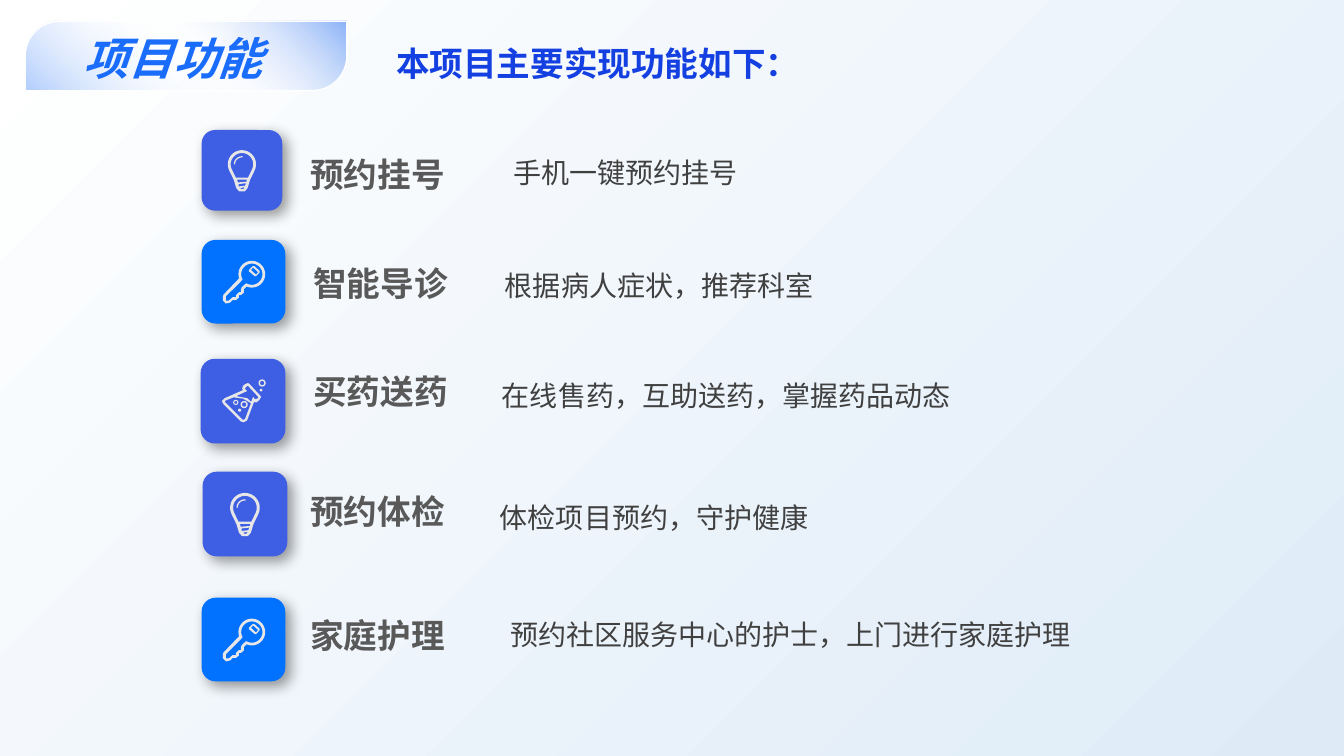
import math

import pptx
import pptx.dml.color
import pptx.enum.shapes
import pptx.enum.text
import pptx.oxml
import pptx.oxml.ns
import pptx.util

COLORS = {
    "tile": "3E5EE3", "key": "0171FF", "icon": "E7E6E6", "white": "FFFFFF",
    "sky": "DEEBF7", "deep": "045AF0", "blue": "1A6CFB", "lead": "1440E2",
    "head": "595959", "body": "404040", "black": "000000",
}
FONT = "Noto Sans CJK SC"
CELL = 0.1  # inches per column and per row
SPACE = 'xmlns:a="http://schemas.openxmlformats.org/drawingml/2006/main"'
SHAPE = pptx.enum.shapes.MSO_SHAPE
ALIGN = pptx.enum.text.PP_ALIGN
ANCHOR = pptx.enum.text.MSO_ANCHOR


def arc(x, y, r, start=0, end=360):
    """Points along a circle, in degrees clockwise from the right."""
    count = max(8, round((end - start) / 10))
    turns = [math.radians(start + (end - start) * i / count) for i in range(count + 1)]
    return [(x + r * math.cos(t), y + r * math.sin(t)) for t in turns]


def ring(x, y, outer, inner):
    return [arc(x, y, outer), arc(x, y, inner)]


# Icon outlines, in hundredths of a tile; inner contours cut holes.
BULB = [
    arc(50, 42.5, 17.5, 155, 385) + [(60, 62), (57, 72), (53.5, 76), (46.5, 76), (43, 72), (40, 62)],
    arc(50, 42.5, 14, 155, 385) + [(60, 54), (57.5, 59), (42.5, 59), (40, 54)],
    [(45, 65), (44, 61.5), (56, 61.5), (56, 64)],
    [(46, 67), (55, 66), (54, 69), (46, 70)],
    [(47.5, 72), (53.5, 71), (52, 73), (50, 73.5)],
    arc(50, 42.5, 10, 180, 275) + arc(50, 42.5, 8.5, 275, 180),
]
KEY = [
    arc(60, 41, 16, 162, 473) + [
        (50.5, 59), (50.5, 63), (47, 66), (44.5, 66), (44.5, 69), (41, 72),
        (37, 72), (34, 75), (29, 76), (25.5, 72.5), (25.5, 67), (26.5, 65)],
    arc(60, 41, 12.7, 151, 479) + [
        (53, 52), (48, 56.5), (47, 59), (47, 62.5), (44.5, 62.5), (41, 66),
        (41, 68.5), (37, 68.5), (32.5, 72.5), (29, 72.5), (29, 67.5), (47, 49.5)],
    [(56.5, 36), (61, 31.3), (63, 31.3), (69.3, 37), (69.3, 39), (65, 43.4), (63.5, 43.4), (56.5, 37.5)],
    [(59, 36), (61.5, 33), (67.5, 38.5), (65, 41.5)],
]
FLASK = [
    [(58, 30), (56, 28.5), (52.5, 30), (50, 32), (49, 35), (50, 37), (28.5, 46.5), (25, 50), (27, 53.5),
     (47.5, 74), (51, 75), (55, 72.5), (63, 51), (65.5, 51.5), (68, 50), (70, 47.5), (71.5, 45), (70, 43)],
    [(68, 46.5), (65.5, 47.5), (64, 47.5), (62, 45), (59.5, 51), (55, 46.5), (46.5, 45),
     (42, 44), (55, 38), (52.5, 35.5), (52.5, 34.5), (55, 32), (56, 32), (68, 45)],
    [(52.5, 71), (51, 72), (49, 71.5), (28.5, 51), (28.5, 50), (30, 49), (39, 45.5), (50, 47), (59.5, 52.5)],
    *ring(51.4, 54, 4.2, 2.5), *ring(72.6, 28.6, 4.2, 2.5), *ring(41.5, 51.5, 3, 1.8),
    arc(46, 60.7, 1.8), arc(71.4, 37, 1.6),
]


class Deck:
    def __init__(self):
        self.file = pptx.Presentation()
        self.file.slide_width = pptx.util.Inches(13.33)
        self.file.slide_height = pptx.util.Inches(7.5)
        self.slide = self.file.slides.add_slide(self.file.slide_layouts[6])
        self.shapes = self.slide.shapes

    def grid(self, *cells):
        return [pptx.util.Inches(c * CELL) for c in cells]

    def color(self, name):
        return pptx.dml.color.RGBColor.from_string(COLORS[name])

    def fade(self, fill, root, angle, *stops):
        """Fill with a linear gradient of (position, color, opacity) stops."""
        fill.gradient()
        old = next(root.iter(pptx.oxml.ns.qn("a:gradFill")))
        marks = "".join(
            f'<a:gs pos="{at * 1000}"><a:srgbClr val="{COLORS[name]}">'
            f'<a:alpha val="{alpha * 1000}"/></a:srgbClr></a:gs>'
            for at, name, alpha in stops)
        old.getparent().replace(old, pptx.oxml.parse_xml(
            f'<a:gradFill {SPACE} rotWithShape="1"><a:gsLst>{marks}</a:gsLst>'
            f'<a:lin ang="{angle * 60000}" scaled="0"/></a:gradFill>'))

    def back(self, angle, *stops):
        self.fade(self.slide.background.fill, self.slide.element, angle, *stops)

    def banner(self, box, angle, *stops):
        shape = self.shapes.add_shape(SHAPE.ROUND_2_DIAG_RECTANGLE, *self.grid(*box))
        shape.shadow.inherit = False
        shape.adjustments[0], shape.adjustments[1] = 0.5, 0
        self.fade(shape.fill, shape.element.spPr, angle, *stops)
        shape.line.color.rgb = self.color("white")
        shape.line.width = pptx.util.Pt(1)

    def tile(self, x, y, size, fill):
        shape = self.shapes.add_shape(SHAPE.ROUNDED_RECTANGLE, *self.grid(x, y, size, size))
        shape.shadow.inherit = False
        shape.fill.solid()
        shape.fill.fore_color.rgb = self.color(fill)
        shape.line.fill.background()
        effect = shape.element.spPr.find(pptx.oxml.ns.qn("a:effectLst"))
        effect.append(pptx.oxml.parse_xml(
            f'<a:outerShdw {SPACE} blurRad="127000" dist="63500" dir="2700000" algn="tl" rotWithShape="0">'
            f'<a:srgbClr val="{COLORS["black"]}"><a:alpha val="40000"/></a:srgbClr></a:outerShdw>'))

    def icon(self, x, y, size, paths):
        pen = None
        for path in paths:
            dots = [self.grid(x + px * size / 100, y + py * size / 100) for px, py in path]
            if pen is None:
                pen = self.shapes.build_freeform(*dots[0], scale=1.0)
            else:
                pen.move_to(*dots[0])
            pen.add_line_segments(dots[1:], close=True)
        shape = pen.convert_to_shape()
        shape.shadow.inherit = False
        shape.fill.solid()
        shape.fill.fore_color.rgb = self.color("icon")
        shape.line.fill.background()

    def text(self, words, box, size=24, color="head", bold=False, italic=False,
             align=ALIGN.LEFT, anchor=ANCHOR.TOP, space=None, wrap=True):
        frame = self.shapes.add_textbox(*self.grid(*box)).text_frame
        frame.word_wrap = wrap
        frame.vertical_anchor = anchor
        line = frame.paragraphs[0]
        line.alignment = align
        line.line_spacing = space
        run = line.add_run()
        run.text = words
        font = run.font
        font.name, font.size = FONT, pptx.util.Pt(size)
        font.bold, font.italic = bold, italic
        font.color.rgb = self.color(color)
        east = pptx.oxml.parse_xml(f'<a:ea {SPACE} typeface="{FONT}"/>')
        font._element.find(pptx.oxml.ns.qn("a:latin")).addnext(east)


# Tile (left, top, size), fill, icon, heading and its place, detail and its place
ROWS = [
    ((20, 12.9, 8), "tile", BULB, "预约挂号", (29.8, 15.5), "手机一键预约挂号", (49.9, 13.3)),
    ((20, 23.8, 8.3), "key", KEY, "智能导诊", (30.1, 26.3), "根据病人症状，推荐科室", (49.1, 24.5)),
    ((19.9, 35.6, 8.4), "tile", FLASK, "买药送药", (30.1, 37), "在线售药，互助送药，掌握药品动态", (48.8, 35.4)),
    ((20.1, 46.8, 8.4), "tile", BULB, "预约体检", (29.8, 48.9), "体检项目预约，守护健康", (48.6, 47.5)),
    ((20, 59.3, 8.3), "key", KEY, "家庭护理", (29.8, 61.2), "预约社区服务中心的护士，上门进行家庭护理", (49.6, 59.1)),
]


def main():
    deck = Deck()
    deck.back(45, (0, "white", 100), (100, "sky", 100))
    deck.banner((2.5, 2.1, 31.9, 6.9), 135, (0, "deep", 46), (49, "white", 0), (100, "blue", 34))
    deck.text("项目功能", (7.3, 2.6, 20, 6.4), size=32, color="blue", bold=True, italic=True, wrap=False)
    deck.text("本项目主要实现功能如下：", (38.3, 3.8, 54.6, 5), color="lead", bold=True)
    for place, fill, paths, head, spot, body, side in ROWS:
        deck.tile(*place, fill)
        deck.icon(*place, paths)
        deck.text(head, (*spot, 25.6, 4.3), bold=True, align=ALIGN.JUSTIFY, anchor=ANCHOR.BOTTOM)
        deck.text(body, (*side, 81.5, 6.5), size=20, color="body", align=ALIGN.JUSTIFY, space=1.5)
    deck.file.save("out.pptx")


if __name__ == "__main__":
    main()
